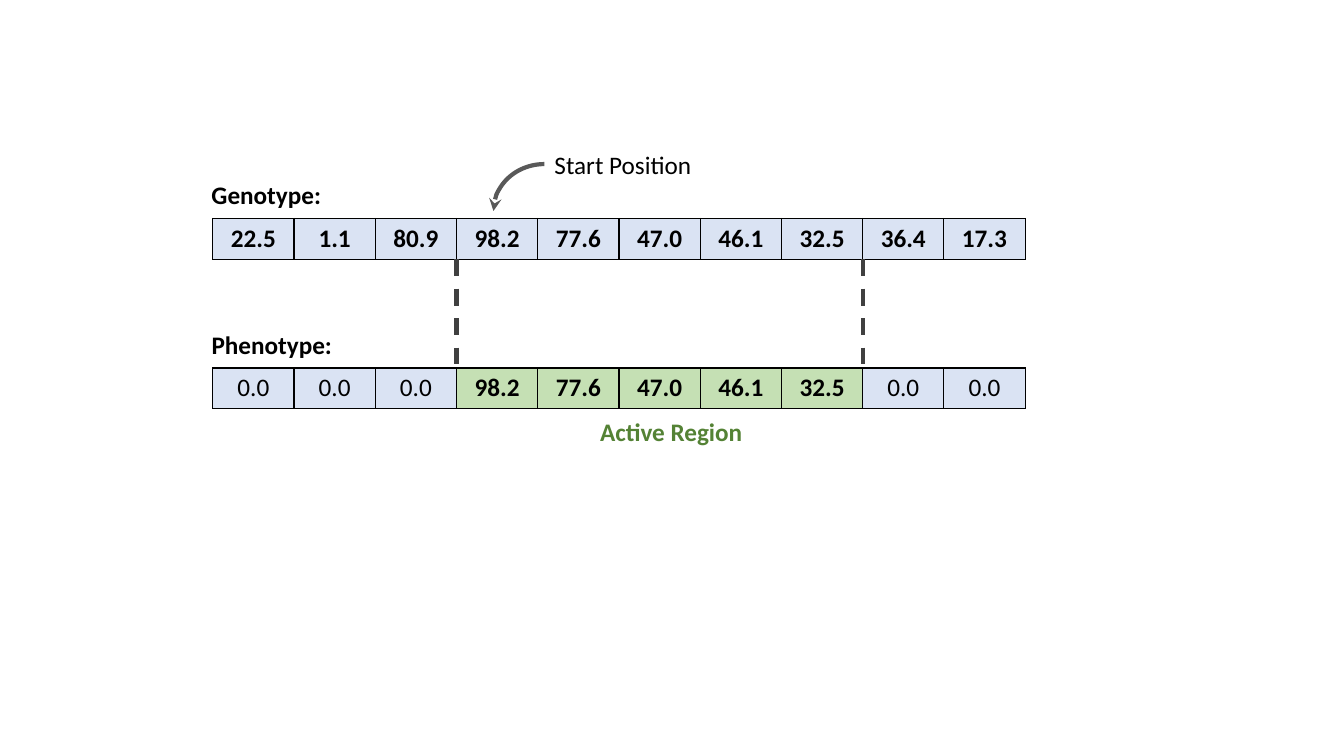
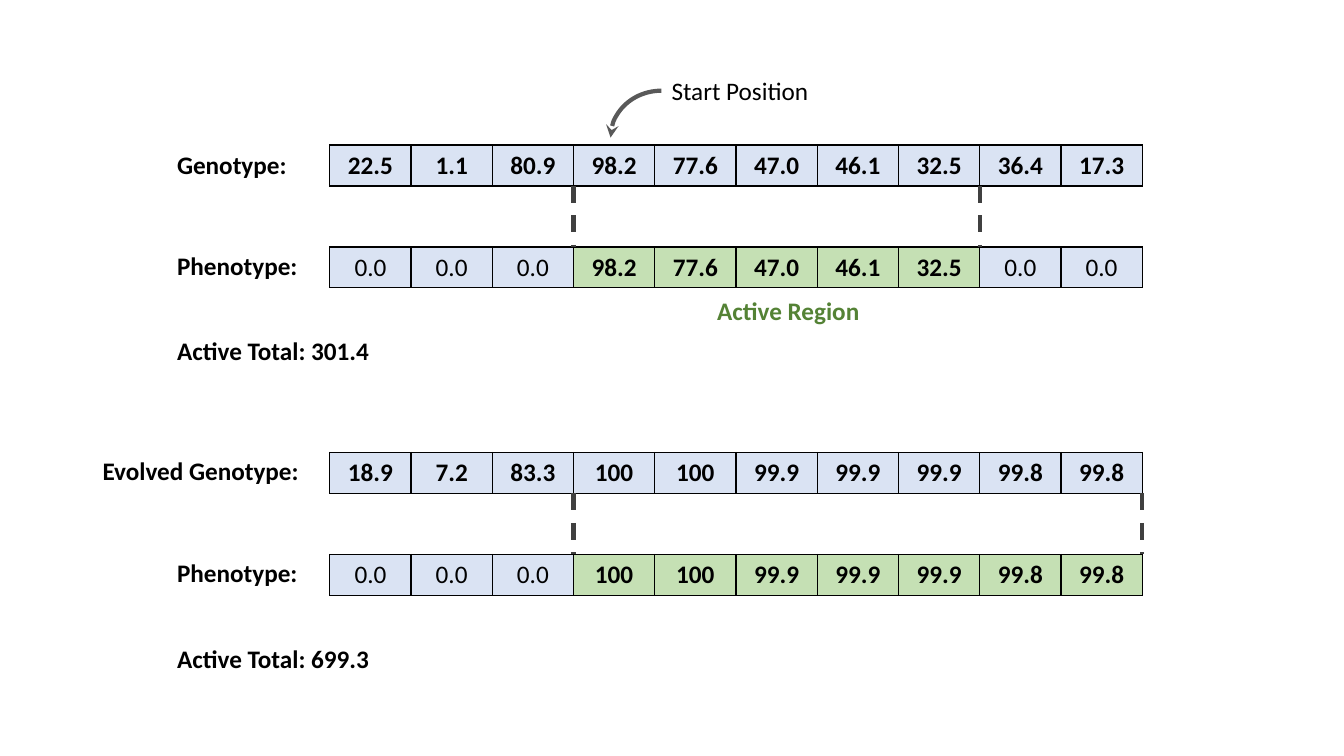
from lxml import etree
from pptx import Presentation
from pptx.dml.color import RGBColor
from pptx.enum.dml import MSO_LINE
from pptx.enum.shapes import MSO_CONNECTOR, MSO_SHAPE
from pptx.enum.text import MSO_AUTO_SIZE, PP_ALIGN
from pptx.oxml import parse_xml
from pptx.oxml.ns import nsdecls, qn
from pptx.util import Pt

ARC = MSO_SHAPE.ARC
STRAIGHT = MSO_CONNECTOR.STRAIGHT
DASH = MSO_LINE.DASH
CENTER = PP_ALIGN.CENTER
GROW = MSO_AUTO_SIZE.SHAPE_TO_FIT_TEXT
BLANK_LAYOUT = 6

BLACK, BLUE, GREEN = "000000", "DAE3F3", "C5E0B4"
DARK_GREEN, DASH_GREY, ARROW_GREY = "548235", "404040", "595959"
CELL_WIDTH, ROW_HEIGHT = 58.03, 29.2
LABEL_HEIGHT = 29.1
BODY = {"name": "Calibri", "size": Pt(18), "bold": False}
STRONG = {**BODY, "bold": True}
INACTIVE = "0.0"

FIRST_GENES = ["22.5", "1.1", "80.9", "98.2", "77.6", "47.0", "46.1", "32.5", "36.4", "17.3"]
EVOLVED_GENES = ["18.9", "7.2", "83.3", "100", "100", "99.9", "99.9", "99.9", "99.8", "99.8"]

SLIDES = [
    {
        "diagrams": [
            {"genes": FIRST_GENES, "active": (3, 8), "left": 152, "tops": (156, 262.8), "marked": True},
        ],
        "labels": [
            ("Genotype:", 144, 124.6, 93.6),
            ("Phenotype:", 144, 231.8, 101.5),
        ],
    },
    {
        "diagrams": [
            {"genes": FIRST_GENES, "active": (3, 8), "left": 235.6, "tops": (103.6, 176.4), "marked": True},
            {"genes": EVOLVED_GENES, "active": (3, 10), "left": 235.6, "tops": (323.2, 396), "marked": False},
        ],
        "labels": [
            ("Genotype:", 119.4, 103, 93.6),
            ("Phenotype:", 119.4, 175.2, 101.5),
            ("Active Total: 301.4", 119.4, 236.2, 152.6),
            ("Evolved Genotype:", 66.2, 321.4, 155.5),
            ("Phenotype:", 119.4, 394.6, 101.5),
            ("Active Total: 699.3", 119.4, 455.8, 152.6),
        ],
    },
]


def color(value):
    return RGBColor.from_string(value)


def write(paragraph, text, font_format, font_color=BLACK):
    run = paragraph.add_run()
    run.text = text
    for name, value in font_format.items():
        setattr(run.font, name, value)
    run.font.color.rgb = color(font_color)


def add_label(slide, text, left, top, width, font_format=STRONG, font_color=BLACK):
    box = slide.shapes.add_textbox(Pt(left), Pt(top), Pt(width), Pt(LABEL_HEIGHT))
    box.text_frame.word_wrap = False
    box.text_frame.auto_size = GROW
    write(box.text_frame.paragraphs[0], text, font_format, font_color)


def set_borders(cell):
    properties = cell._tc.get_or_add_tcPr()
    for index, side in enumerate(("lnL", "lnR", "lnT", "lnB")):
        border = parse_xml(
            f'<a:{side} {nsdecls("a")} w="{Pt(1)}"><a:solidFill>'
            f'<a:srgbClr val="{BLACK}"/></a:solidFill></a:{side}>'
        )
        properties.insert(index, border)


def add_strip(slide, values, left, top, active, masked):
    width = CELL_WIDTH * len(values)
    table = slide.shapes.add_table(1, len(values), Pt(left), Pt(top), Pt(width), Pt(ROW_HEIGHT)).table
    table.first_row = table.horz_banding = False
    for index, value in enumerate(values):
        table.columns[index].width = Pt(CELL_WIDTH)
        is_active = active[0] <= index < active[1]
        hidden = masked and not is_active
        cell = table.cell(0, index)
        cell.fill.solid()
        cell.fill.fore_color.rgb = color(GREEN if masked and is_active else BLUE)
        set_borders(cell)
        paragraph = cell.text_frame.paragraphs[0]
        paragraph.alignment = CENTER
        write(paragraph, INACTIVE if hidden else value, BODY if hidden else STRONG)


def add_boundary(slide, x, top, bottom):
    connector = slide.shapes.add_connector(STRAIGHT, Pt(x), Pt(top), Pt(x), Pt(bottom))
    connector.line.color.rgb = color(DASH_GREY)
    connector.line.width = Pt(3)
    connector.line.dash_style = DASH
    etree.SubElement(connector._element.spPr, qn("a:effectLst"))


def add_start_arrow(slide, left, top):
    arc = slide.shapes.add_shape(ARC, Pt(left), Pt(top), Pt(72.7), Pt(67))
    arc.shadow.inherit = False
    arc.fill.background()
    arc.line.color.rgb = color(ARROW_GREY)
    arc.line.width = Pt(3)
    arc._element.spPr.find(qn("a:xfrm")).set("flipH", "1")
    etree.SubElement(arc.line._get_or_add_ln(), qn("a:tailEnd"), type="stealth")


def add_diagram(slide, genes, active, left, tops, marked):
    genotype_top, phenotype_top = tops
    add_strip(slide, genes, left, genotype_top, active, False)
    add_strip(slide, genes, left, phenotype_top, active, True)
    for boundary in active:
        add_boundary(slide, left + boundary * CELL_WIDTH, genotype_top + ROW_HEIGHT, phenotype_top)
    if marked:
        add_label(slide, "Active Region", left + 269.5, phenotype_top + 31, 116.6, STRONG, DARK_GREEN)
        add_label(slide, "Start Position", left + 237, genotype_top - 53.2, 113, BODY)
        add_start_arrow(slide, left + 200.5, genotype_top - 38.8)


def main():
    presentation = Presentation()
    presentation.slide_width = Pt(960)
    presentation.slide_height = Pt(540)
    for content in SLIDES:
        slide = presentation.slides.add_slide(presentation.slide_layouts[BLANK_LAYOUT])
        for diagram in content["diagrams"]:
            add_diagram(slide, **diagram)
        for label in content["labels"]:
            add_label(slide, *label)
    presentation.save("out.pptx")


if __name__ == "__main__":
    main()
